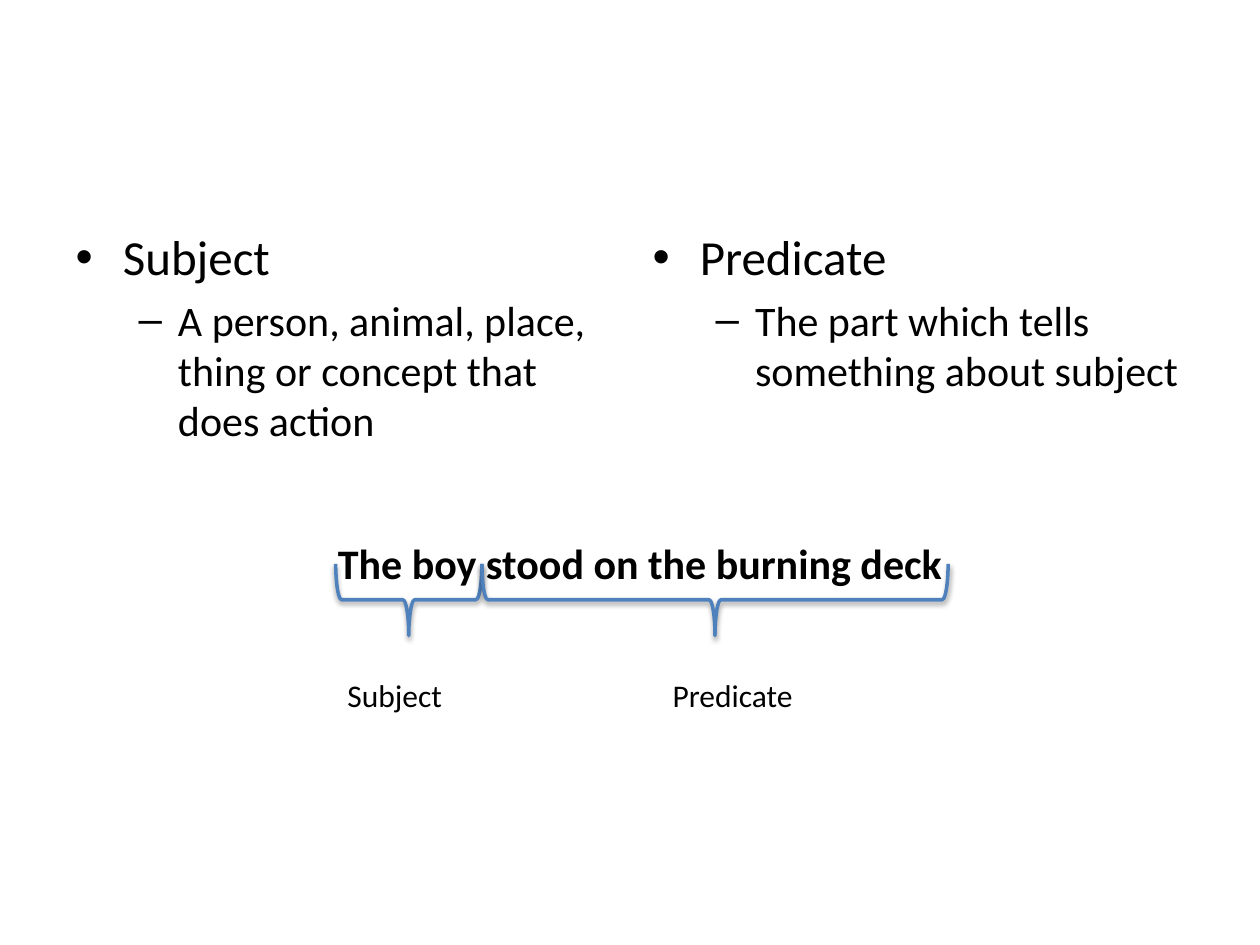
import pptx
import pptx.util
import pptx.dml.color
import pptx.enum.shapes
import pptx.enum.text
import pptx.oxml
import pptx.oxml.ns

# Content
DEFINITIONS = [
    ("Subject", "A person, animal, place, thing or concept that does action"),
    ("Predicate", "The part which tells something about subject"),
]
SENTENCE = "The boy stood on the burning deck"
# label, brace width, label left, label width (grid columns)
SENTENCE_PARTS = [("Subject", 11.6, 26.6, 10), ("Predicate", 37, 52.4, 12.1)]

THEME = {
    "font": "Calibri", "text": "000000", "brace": "4F81BD", "shadow": "000000",
    "heading": 28, "detail": 24, "sentence": 24, "label": 18, "brace_line": 2,
}

# Grid of 100 columns by 75 rows
COLUMNS, ROWS = 100, 75
BODY_TOP, BODY_WIDTH, BODY_HEIGHT, MARGIN = 17.5, 44.2, 49.5, 5
SENTENCE_BOX = (13.8, 42.2, 74, 5)
BRACES_LEFT, BRACES_TOP, BRACE_DEPTH = 26.65, 44.75, 5.7
LABEL_TOP, LABEL_HEIGHT = 53.2, 4

SHADOW = (
    '<a:effectLst %s><a:outerShdw blurRad="39370" dist="20320" dir="5400000" '
    'rotWithShape="0"><a:srgbClr val="%s"><a:alpha val="38000"/></a:srgbClr>'
    '</a:outerShdw></a:effectLst>'
) % (pptx.oxml.ns.nsdecls("a"), THEME["shadow"])

deck = pptx.Presentation()
deck.slide_width = pptx.util.Inches(10)
deck.slide_height = pptx.util.Inches(7.5)
slide = deck.slides.add_slide(deck.slide_layouts[3])


def grid_box(left, top, width, height):
    column, row = deck.slide_width / COLUMNS, deck.slide_height / ROWS
    return [round(n) for n in (left * column, top * row, width * column, height * row)]


def write(paragraph, text, size, bold=None, align=None, level=0):
    paragraph.level = level
    paragraph.alignment = align
    run = paragraph.add_run()
    run.text = text
    run.font.name = THEME["font"]
    run.font.size = pptx.util.Pt(THEME[size])
    run.font.bold = bold
    run.font.color.rgb = pptx.dml.color.RGBColor.from_string(THEME["text"])


def add_caption(box, text, size, **style):
    frame = slide.shapes.add_textbox(*grid_box(*box)).text_frame
    frame.word_wrap = True
    frame.auto_size = pptx.enum.text.MSO_AUTO_SIZE.SHAPE_TO_FIT_TEXT
    write(frame.paragraphs[0], text, size, **style)


def add_brace(left, top, width, depth):
    # A left brace turned to point down: its box is upright around the same centre
    upright = (left + (width - depth) / 2, top + (depth - width) / 2, depth, width)
    brace = slide.shapes.add_shape(
        pptx.enum.shapes.MSO_SHAPE.LEFT_BRACE, *grid_box(*upright))
    brace.rotation = 270
    brace.fill.background()
    brace.line.color.rgb = pptx.dml.color.RGBColor.from_string(THEME["brace"])
    brace.line.width = pptx.util.Pt(THEME["brace_line"])
    brace.element.spPr.append(pptx.oxml.parse_xml(SHADOW))


# Definitions in two columns
title = slide.shapes.title.element
title.getparent().remove(title)
body_lefts = (MARGIN, COLUMNS - MARGIN - BODY_WIDTH)
for index, ((term, meaning), left) in enumerate(zip(DEFINITIONS, body_lefts), 1):
    definition = slide.placeholders[index]
    (definition.left, definition.top, definition.width, definition.height) = grid_box(
        left, BODY_TOP, BODY_WIDTH, BODY_HEIGHT)
    frame = definition.text_frame
    write(frame.paragraphs[0], term, "heading")
    write(frame.add_paragraph(), meaning, "detail", level=1)

# Example sentence
add_caption(SENTENCE_BOX, SENTENCE, "sentence", bold=True,
            align=pptx.enum.text.PP_ALIGN.CENTER)

# Braces side by side, each with its label
brace_left = BRACES_LEFT
for label, brace_width, label_left, label_width in SENTENCE_PARTS:
    add_brace(brace_left, BRACES_TOP, brace_width, BRACE_DEPTH)
    add_caption((label_left, LABEL_TOP, label_width, LABEL_HEIGHT), label, "label")
    brace_left += brace_width

deck.save("out.pptx")
